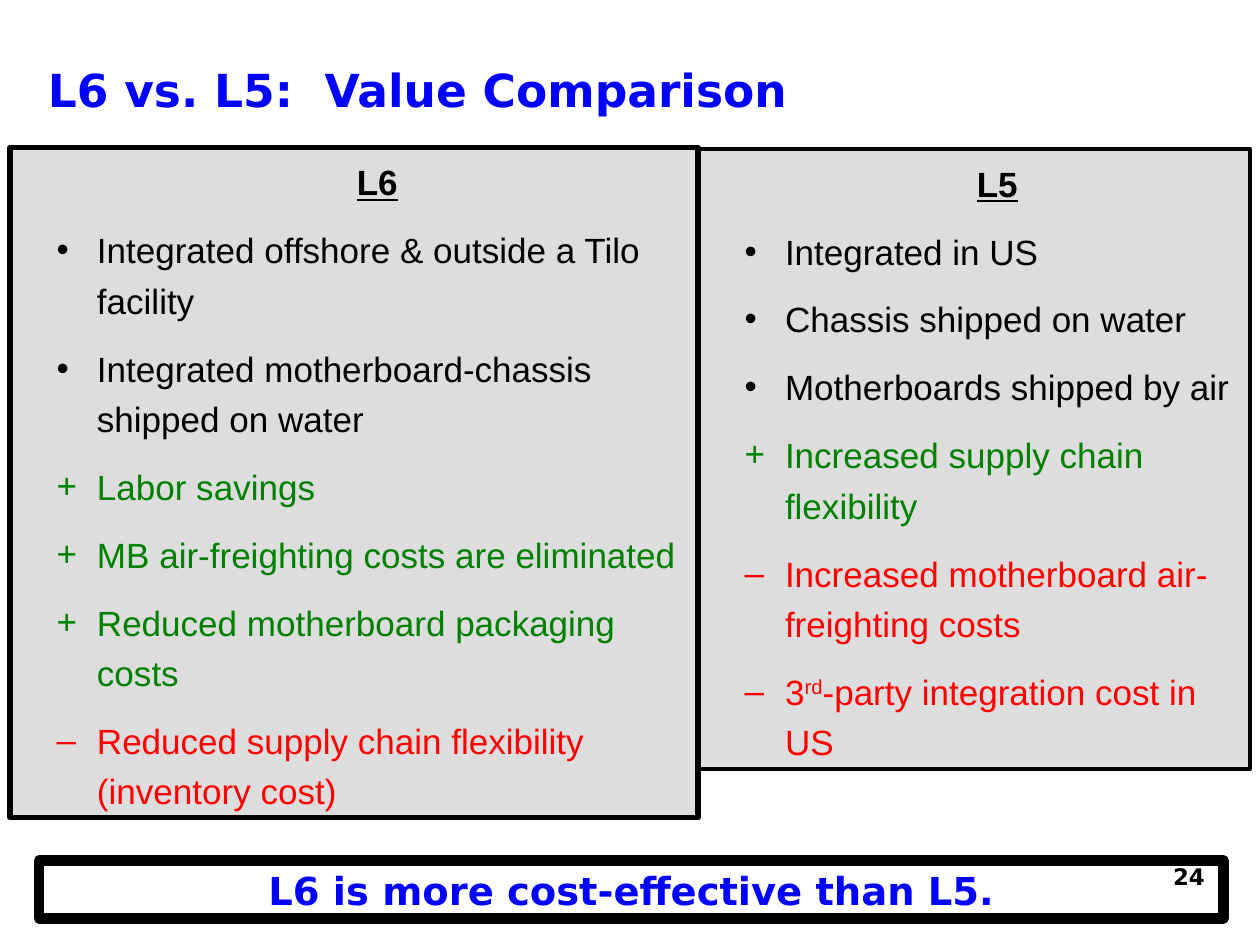
from dataclasses import dataclass
from typing import Optional

from lxml import etree
from pptx import Presentation
from pptx.dml.color import RGBColor
from pptx.enum import shapes, text
from pptx.oxml import ns
from pptx.util import Inches, Pt


@dataclass(frozen=True)
class Theme:
    black: str = "000000"
    blue: str = "0000FF"
    green: str = "008000"
    red: str = "FF0000"
    panel: str = "DDDDDD"
    display: str = "DejaVu Sans"
    body: str = "Arial"
    title_size: float = 26
    banner_size: float = 22
    body_size: float = 20
    number_size: float = 13


THEME = Theme()
COLORS = {"•": THEME.black, "+": THEME.green, "–": THEME.red}


@dataclass(frozen=True)
class Box:
    left: float
    top: float
    width: float
    height: float

    def lengths(self) -> tuple:
        return tuple(Inches(v) for v in (self.left, self.top, self.width, self.height))


@dataclass(frozen=True)
class Point:
    mark: str
    words: str
    raised: str = ""
    rest: str = ""


@dataclass(frozen=True)
class Panel:
    heading: str
    box: Box
    border: float
    points: tuple


PANELS = (
    Panel("L5", Box(5.54, 1.18, 4.38, 4.92), 2.25, (
        Point("•", "Integrated in US"),
        Point("•", "Chassis shipped on water"),
        Point("•", "Motherboards shipped by air"),
        Point("+", "Increased supply chain flexibility"),
        Point("–", "Increased motherboard air-freighting costs"),
        Point("–", "3", "rd", "-party integration cost in US"),
    )),
    Panel("L6", Box(0.08, 1.17, 5.46, 5.32), 3, (
        Point("•", "Integrated offshore & outside a Tilo facility"),
        Point("•", "Integrated motherboard-chassis shipped on water"),
        Point("+", "Labor savings"),
        Point("+", "MB air-freighting costs are eliminated"),
        Point("+", "Reduced motherboard packaging costs"),
        Point("–", "Reduced supply chain flexibility (inventory cost)"),
    )),
)


def add_text(p, words: str, *, size: float, color: str, font: str = THEME.display,
             bold: bool = True, underline: bool = False, raised: bool = False) -> None:
    r = p.add_run()
    r.text = words
    r.font.name = font
    r.font.size = Pt(size)
    r.font.bold = bold
    r.font.underline = underline
    r.font.color.rgb = RGBColor.from_string(color)
    if raised:
        r._r.get_or_add_rPr().set("baseline", "30000")


def set_frame(sp, *, side: float = 0, edge: float = 0, wrap: bool = True,
              anchor=text.MSO_ANCHOR.TOP):
    tf = sp.text_frame
    tf.auto_size = text.MSO_AUTO_SIZE.NONE
    tf.word_wrap = wrap
    tf.vertical_anchor = anchor
    tf.margin_left = tf.margin_right = Inches(side)
    tf.margin_top = tf.margin_bottom = Inches(edge)
    return tf


def add_rect(s, box: Box, border: float, fill: Optional[str] = None):
    sp = s.shapes.add_shape(shapes.MSO_SHAPE.RECTANGLE, *box.lengths())
    sp.shadow.inherit = False
    if fill:
        sp.fill.solid()
        sp.fill.fore_color.rgb = RGBColor.from_string(fill)
    else:
        sp.fill.background()
    sp.line.color.rgb = RGBColor.from_string(THEME.black)
    sp.line.width = Pt(border)
    return sp


def set_indent(p, mark: str = "") -> None:
    pPr = p._p.get_or_add_pPr()
    pPr.set("marL", str(Inches(0.69)))
    pPr.set("indent", str(Inches(-0.32)))
    if mark:
        color = etree.SubElement(pPr, ns.qn("a:buClr"))
        etree.SubElement(color, ns.qn("a:srgbClr"), val=COLORS[mark])
        etree.SubElement(pPr, ns.qn("a:buFont"), typeface=THEME.body)
        etree.SubElement(pPr, ns.qn("a:buChar"), char=mark)
    p.line_spacing = 1.2


def add_point(tf, point: Point) -> None:
    p = tf.add_paragraph()
    set_indent(p, point.mark)
    p.alignment = text.PP_ALIGN.LEFT
    p.space_before = Pt(10)
    for words, raised in ((point.words, False), (point.raised, True), (point.rest, False)):
        if words:
            add_text(p, words, size=THEME.body_size, color=COLORS[point.mark],
                     font=THEME.body, bold=False, raised=raised)


def add_panel(s, panel: Panel) -> None:
    tf = set_frame(add_rect(s, panel.box, panel.border, THEME.panel), edge=0.04)
    p = tf.paragraphs[0]
    set_indent(p)
    p.alignment = text.PP_ALIGN.CENTER
    add_text(p, panel.heading, size=THEME.body_size, color=THEME.black,
             font=THEME.body, underline=True)
    for point in panel.points:
        add_point(tf, point)


def main() -> None:
    prs = Presentation()
    prs.slide_width, prs.slide_height = Inches(10), Inches(7.5)
    s = prs.slides.add_slide(prs.slide_layouts[5])

    title = s.shapes.title
    title.left, title.top, title.width, title.height = Box(0.38, 0.49, 7.72, 0.43).lengths()
    p = set_frame(title).paragraphs[0]
    p.alignment = text.PP_ALIGN.LEFT
    add_text(p, "L6 vs. L5:  Value Comparison", size=THEME.title_size, color=THEME.blue)

    for panel in PANELS:
        add_panel(s, panel)

    banner = add_rect(s, Box(0.31, 6.83, 9.4, 0.46), 6)
    p = set_frame(banner, side=0.05, edge=0.05).paragraphs[0]
    p.alignment = text.PP_ALIGN.CENTER
    add_text(p, "L6 is more cost-effective than L5.", size=THEME.banner_size, color=THEME.blue)

    number = s.shapes.add_textbox(*Box(9.31, 6.79, 0.32, 0.33).lengths())
    tf = set_frame(number, edge=0.05, wrap=False, anchor=text.MSO_ANCHOR.MIDDLE)
    add_text(tf.paragraphs[0], "24", size=THEME.number_size, color=THEME.black)

    prs.save("out.pptx")


if __name__ == "__main__":
    main()
